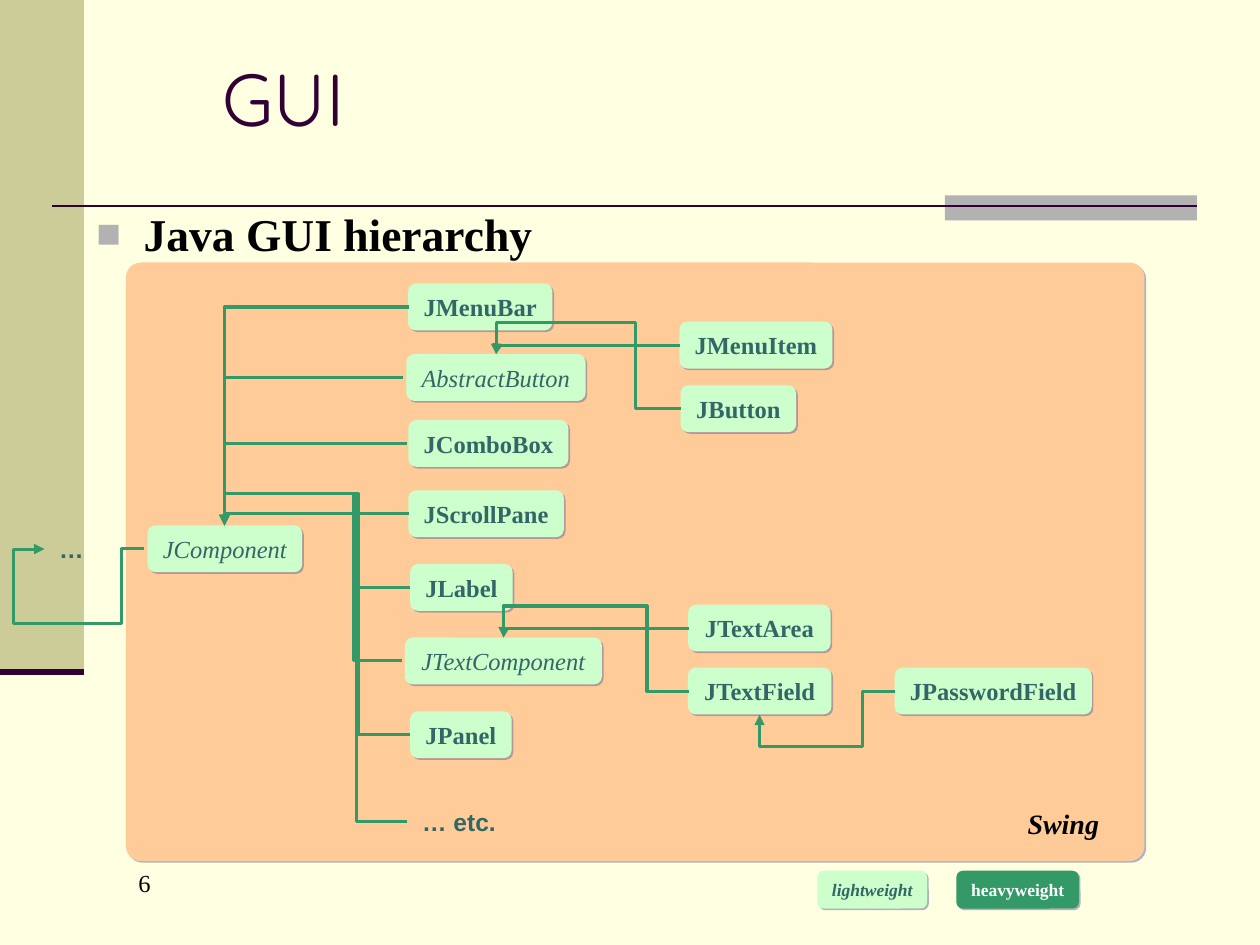
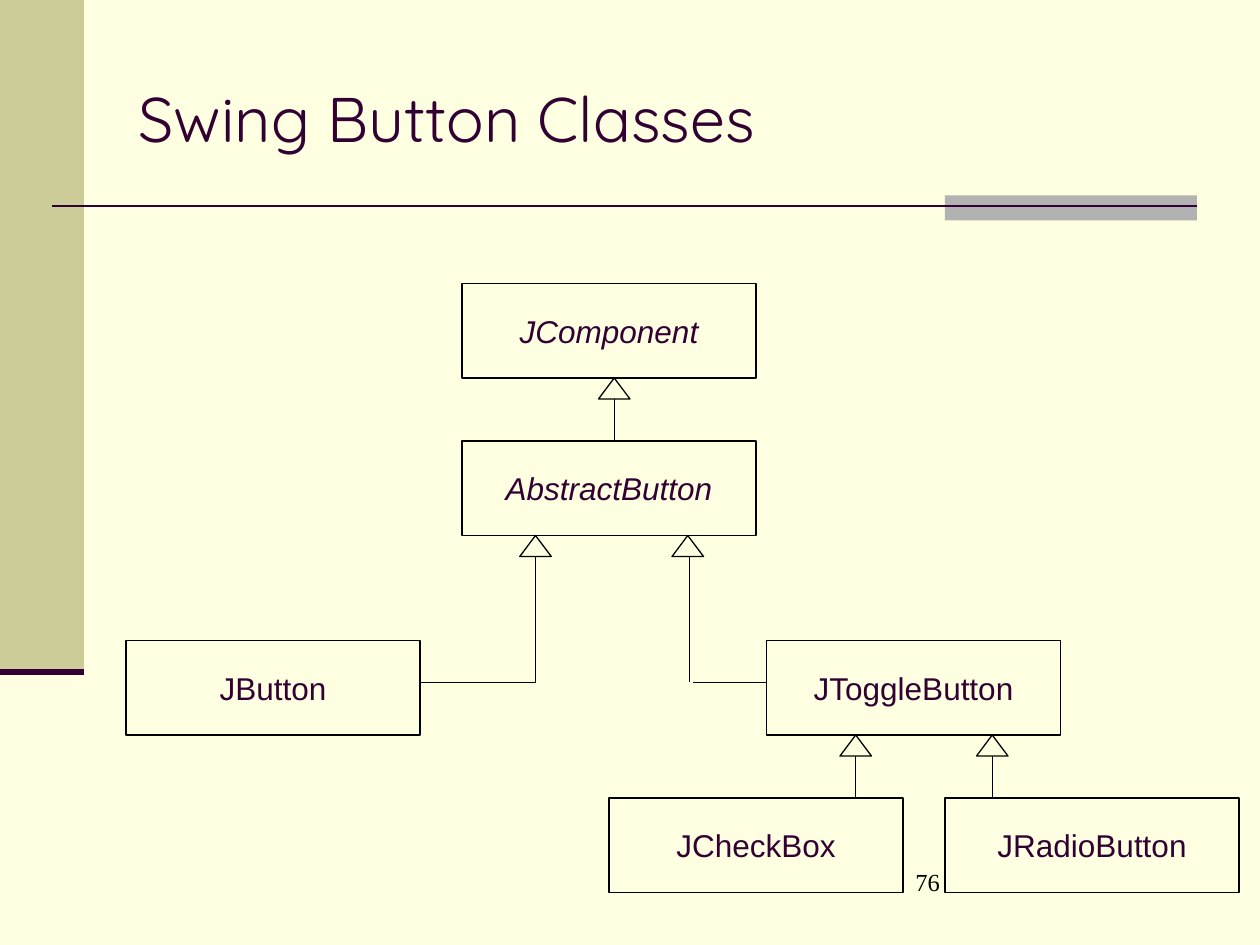
from lxml.etree import SubElement
from pptx import Presentation
from pptx.dml.color import RGBColor
from pptx.enum.shapes import MSO_CONNECTOR as Link, MSO_SHAPE as Shape
from pptx.enum.text import MSO_ANCHOR as Anchor, MSO_AUTO_SIZE as Fit, PP_ALIGN as Align
from pptx.oxml.ns import qn
from pptx.util import Pt

COLORS = {
    "paper": "FFFFE1", "olive": "CCCC99", "grey": "B2B2B2", "plum": "330033",
    "black": "000000", "white": "FFFFFF", "peach": "FFCC99", "mint": "CCFFCC",
    "green": "339966", "teal": "336666", "shadow": "666699",
}
TITLE_FONT, SERIF, SANS = "Quicksand", "Times New Roman", "Arial"
TITLE_ONLY = 5

# Slide 1: name -> left, top, width, line start, trunk x (None: direct), parent
CLASS_HEIGHT = 26.8
CLASSES = {
    "JMenuBar": (233.2, 162, 82.4, 233.5, None, "JComponent"),
    "AbstractButton": (232.2, 202.3, 102.4, 230, None, "JComponent"),
    "JComboBox": (233.4, 240, 91.4, 232.5, None, "JComponent"),
    "JScrollPane": (233.4, 280.2, 88.8, 233.5, None, "JComponent"),
    "JLabel": (234.4, 322.3, 58.6, 234.5, 204.8, "JComponent"),
    "JTextComponent": (231.4, 364.3, 112.6, 229.7, 202, "JComponent"),
    "JPanel": (234.4, 406.5, 58, 234.5, 204.5, "JComponent"),
    "… etc.": (232.6, 456.2, 59.4, 232.8, 203.5, "JComponent"),
    "JMenuItem": (388.3, 183.8, 87.4, 388.5, None, "AbstractButton"),
    "JButton": (389, 220.2, 66, 389, 363, "AbstractButton"),
    "JTextArea": (393.3, 345.5, 81.3, 393.9, None, "JTextComponent"),
    "JTextField": (393.1, 381.5, 82, 393.5, 369.7, "JTextComponent"),
}
PARENT_TOPS = {"JComponent": (128.3, 300.2), "AbstractButton": (283.5, 202.3),
               "JTextComponent": (287.7, 364.3)}
BEND_GAP = 18

# Slide 2: name -> left, top
BOX_WIDTH, BOX_HEIGHT = 168, 54
BUTTON_CLASSES = {
    "JComponent": (264, 162), "AbstractButton": (264, 252),
    "JButton": (72, 366), "JToggleButton": (438, 366),
    "JCheckBox": (348, 456), "JRadioButton": (540, 456),
}
ABSTRACT = ("JComponent", "AbstractButton", "JTextComponent")


def color(name):
    return RGBColor.from_string(COLORS[name])


def write(shape, words, font=SERIF, size=14, ink="black", bold=False, italic=False,
          align=Align.LEFT, anchor=Anchor.TOP, wrap=True, fit=Fit.NONE):
    frame = shape.text_frame
    frame.word_wrap, frame.auto_size, frame.vertical_anchor = wrap, fit, anchor
    paragraph = frame.paragraphs[0]
    paragraph.alignment = align
    run = paragraph.add_run()
    run.text = words
    run.font.name, run.font.size = font, Pt(size)
    run.font.bold, run.font.italic = bold, italic
    run.font.color.rgb = color(ink)
    return paragraph


def add_text(slide, words, left, top, width, height, **style):
    box = slide.shapes.add_textbox(Pt(left), Pt(top), Pt(width), Pt(height))
    return write(box, words, **style)


def add_block(slide, kind, left, top, width, height, fill=None, line=None, weight=0.74):
    block = slide.shapes.add_shape(kind, Pt(left), Pt(top), Pt(width), Pt(height))
    block.shadow.inherit = False
    if fill:
        block.fill.solid()
        block.fill.fore_color.rgb = color(fill)
    else:
        block.fill.background()
    if line:
        block.line.color.rgb = color(line)
        block.line.width = Pt(weight)
    else:
        block.line.fill.background()
    return block


def cast_shadow(block):
    effects = block._element.spPr.find(qn("a:effectLst"))
    outer = SubElement(effects, qn("a:outerShdw"), blurRad="0", dist=str(Pt(1.4)),
                       dir="2700000", algn="ctr", rotWithShape="0")
    tint = SubElement(outer, qn("a:srgbClr"), val=COLORS["shadow"])
    SubElement(tint, qn("a:alpha"), val="50000")


def add_line(slide, start, end, ink="black", weight=0.74, kind=Link.STRAIGHT):
    line = slide.shapes.add_connector(kind, *(Pt(v) for v in (*start, *end)))
    line.line.color.rgb = color(ink)
    line.line.width = Pt(weight)
    SubElement(line._element.spPr, qn("a:effectLst"))
    return line


def add_elbow(slide, start, end, turns=()):
    """Leftward arrow; turns lists the x, y, x... at which it bends in between."""
    elbow = add_line(slide, start, end, "green", 1.76, Link.ELBOW)
    props = elbow._element.spPr
    SubElement(props.find(qn("a:ln")), qn("a:tailEnd"), type="triangle")
    # A half turn plus a vertical flip stands for the horizontal flip
    frame = props.find(qn("a:xfrm"))
    frame.attrib.pop("flipH")
    frame.set("rot", "10800000")
    if not frame.attrib.pop("flipV", None):
        frame.set("flipV", "1")
    geometry = props.find(qn("a:prstGeom"))
    geometry.set("prst", f"bentConnector{2 + len(turns)}")
    guides = geometry.find(qn("a:avLst"))
    if guides is None:
        guides = SubElement(geometry, qn("a:avLst"))
    for i, turn in enumerate(turns):
        axis = i % 2
        share = (turn - start[axis]) / (end[axis] - start[axis])
        SubElement(guides, qn("a:gd"), name=f"adj{i + 1}", fmla=f"val {round(share * 100000)}")


def add_class(slide, name, left, top, width, height=CLASS_HEIGHT, fill="mint", **style):
    block = add_block(slide, Shape.ROUNDED_RECTANGLE, left, top, width, height, fill)
    if fill:
        cast_shadow(block)
    look = dict(ink="teal", bold=name not in ABSTRACT, italic=name in ABSTRACT,
                font=SERIF if fill else SANS)
    write(block, name, align=Align.CENTER, wrap=False, fit=Fit.SHAPE_TO_FIT_TEXT,
          **{**look, **style})


def add_bullet(paragraph):
    props = paragraph._p.get_or_add_pPr()
    props.set("marL", str(Pt(27)))
    props.set("indent", str(Pt(-27)))
    tint = SubElement(props, qn("a:buClr"))
    SubElement(tint, qn("a:srgbClr"), val=COLORS["grey"])
    SubElement(props, qn("a:buSzPct"), val="90000")
    SubElement(props, qn("a:buFont"), typeface=SANS)
    SubElement(props, qn("a:buChar"), char="■")


def dress_master(deck, slide):
    """Draw the shared bands and rules, then move them to the master."""
    master = deck.slide_master
    master.background.fill.solid()
    master.background.fill.fore_color.rgb = color("paper")
    parts = [
        add_block(slide, Shape.RECTANGLE, 0, 0, 48, 384, "olive"),
        add_block(slide, Shape.RECTANGLE, 540, 111.6, 144, 14.4, "grey"),
        add_line(slide, (30, 117.75), (684, 117.75), "plum", 1.5),
        add_line(slide, (0, 384), (48, 384), "plum", 3.5),
    ]
    for number, part in enumerate(parts, 101):
        part._element.xpath(".//p:cNvPr")[0].set("id", str(number))
        master.shapes._spTree.append(part._element)


def add_slide(deck, title, place, size, number, number_place):
    slide = deck.slides.add_slide(deck.slide_layouts[TITLE_ONLY])
    heading = slide.shapes.title
    heading.left, heading.top, heading.width, heading.height = (Pt(v) for v in place)
    write(heading, title, font=TITLE_FONT, size=size, ink="plum", anchor=Anchor.MIDDLE)
    add_text(slide, number, *number_place, 150, 36)
    return slide


def draw_hierarchy(slide):
    point = add_text(slide, "Java GUI hierarchy", 48, 114, 624, 360, size=26, bold=True)
    point.space_before = Pt(6.5)
    add_bullet(point)

    panel = add_block(slide, Shape.ROUNDED_RECTANGLE, 72, 150, 582, 342, "peach")
    panel.adjustments[0] = 0.025
    cast_shadow(panel)

    # Classes
    add_class(slide, "JComponent", 84.4, 300.2, 88.3)
    for name, (left, top, width, *_) in CLASSES.items():
        add_class(slide, name, left, top, width, fill=None if "…" in name else "mint")
    add_class(slide, "JPasswordField", 511.3, 381.5, 112.6)
    add_class(slide, "…", 25.2, 300.2, 31.2, fill=None)

    # Inheritance arrows
    for left, top, width, start, trunk, parent in CLASSES.values():
        target = PARENT_TOPS[parent]
        turns = (trunk, target[1] - BEND_GAP) if trunk else ()
        add_elbow(slide, (start, top + CLASS_HEIGHT / 2), target, turns)
    add_elbow(slide, (511.3, 395), (434, 408.4), (492.6, 426.4))
    add_elbow(slide, (82.3, 313.5), (25.4, 313.7), (69.3, 356.5, 7.5))

    # Caption and legend
    add_text(slide, "Swing", 580.3, 457.2, 54.7, 28.8, size=16, bold=True, italic=True,
             align=Align.CENTER, wrap=False)
    add_class(slide, "lightweight", 467.1, 497.6, 62.7, 21.6, size=10, italic=True)
    add_class(slide, "heavyweight", 546.5, 497.6, 70, 21.6, "green", size=10, ink="white")


def draw_buttons(slide):
    for name, (left, top) in BUTTON_CLASSES.items():
        box = add_block(slide, Shape.RECTANGLE, left, top, BOX_WIDTH, BOX_HEIGHT, line="black")
        write(box, name, font=SANS, size=18, ink="plum", italic=name in ABSTRACT,
              align=Align.CENTER, anchor=Anchor.MIDDLE, wrap=False)

    # Inheritance arrows: tip x and y, stem x and end
    for tip, top, stem, bottom in (
        (351, 216, 351, 252), (306, 306, 306, 390), (393, 306, 394, 390),
        (489, 420, 489, 456), (567, 420, 567, 456),
    ):
        add_block(slide, Shape.ISOSCELES_TRIANGLE, tip - 9, top, 18, 12, line="black")
        add_line(slide, (stem, top + 12), (stem, bottom))
    add_line(slide, (240, 390), (306, 390))
    add_line(slide, (396, 390), (438, 390))


def main():
    deck = Presentation()
    deck.slide_width, deck.slide_height = Pt(720), Pt(540)
    hierarchy = add_slide(deck, "GUI", (120, 24, 552, 62.4), 42, "6", (72, 492.5))
    dress_master(deck, hierarchy)
    draw_hierarchy(hierarchy)
    draw_buttons(add_slide(deck, "Swing Button Classes", (72, 22, 612, 90), 36,
                           "76", (516, 492)))
    deck.save("out.pptx")


main()
